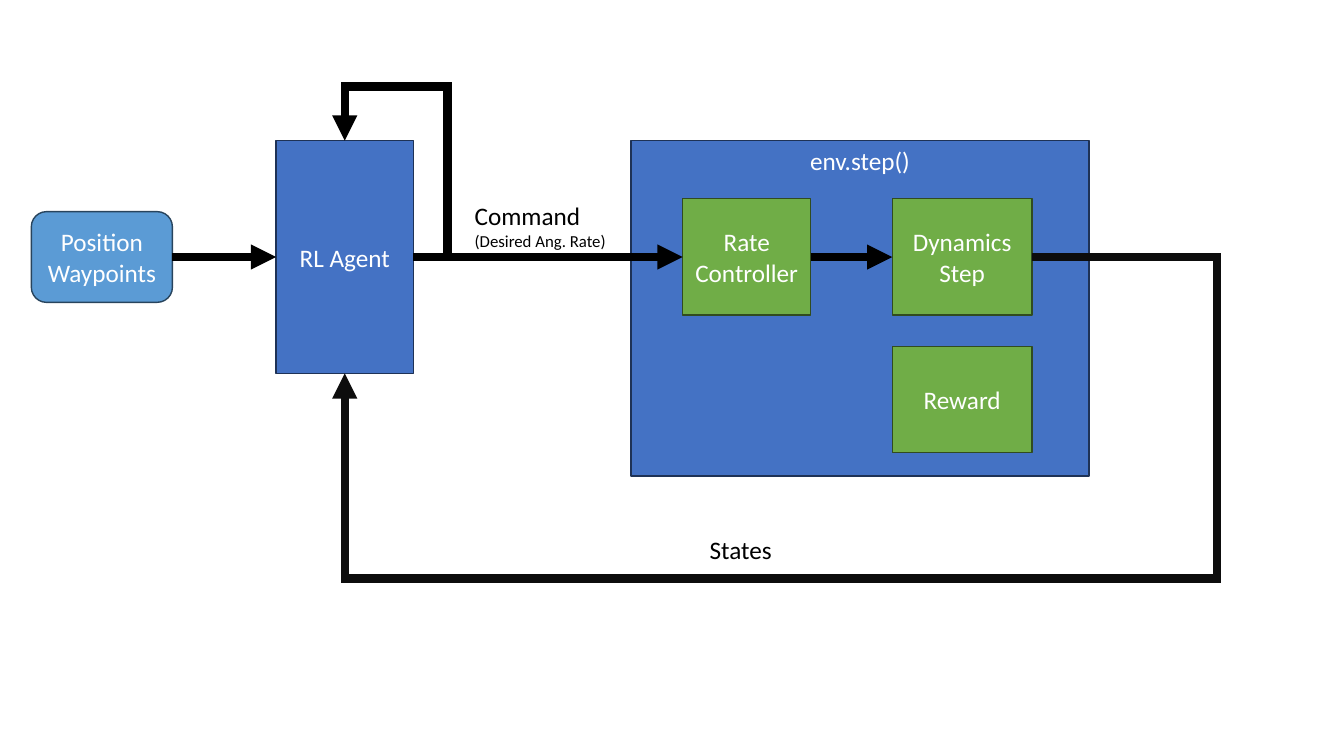
"""Draw a reinforcement-learning control loop as a block diagram."""
import dataclasses
import typing

import lxml.etree
import pptx
import pptx.dml.color
import pptx.enum.shapes
import pptx.enum.text
import pptx.oxml.ns
import pptx.util

SHAPE = pptx.enum.shapes.MSO_SHAPE
CONNECTOR = pptx.enum.shapes.MSO_CONNECTOR
ALIGN = pptx.enum.text.PP_ALIGN
ANCHOR = pptx.enum.text.MSO_ANCHOR
qn = pptx.oxml.ns.qn

WIDTH = pptx.util.Inches(13.33)
HEIGHT = pptx.util.Inches(7.5)
BLUE, DARK_BLUE = "4472C4", "1E3256"
GREEN, DARK_GREEN = "70AD47", "314C1F"
SKY, DARK_SKY = "5B9BD5", "28445D"
WHITE, BLACK, CHARCOAL = "FFFFFF", "000000", "0D0D0D"
FLOW = 34.0


@dataclasses.dataclass
class Block:
    lines: list[str]
    left: float
    top: float
    width: float
    height: float
    fill: str
    edge: str
    shape: typing.Any = SHAPE.RECTANGLE
    anchor: typing.Any = ANCHOR.MIDDLE

    @property
    def right(self) -> float:
        return self.left + self.width

    @property
    def bottom(self) -> float:
        return self.top + self.height

    @property
    def center(self) -> float:
        return self.left + self.width / 2


@dataclasses.dataclass
class Label:
    lines: list[str]
    sizes: list[float]
    left: float
    top: float
    width: float
    height: float
    wrap: bool


@dataclasses.dataclass
class Arrow:
    start: tuple[float, float]
    finish: tuple[float, float]
    preset: str = "line"
    rotation: int = 0
    bends: tuple[float, ...] = ()
    color: str = BLACK


def across(share: float) -> int:
    return round(WIDTH * share / 100)


def down(share: float) -> int:
    return round(HEIGHT * share / 100)


def paint(color: typing.Any, value: str) -> None:
    color.rgb = pptx.dml.color.RGBColor.from_string(value)


def write(frame, lines: list[str], *, sizes=(18, 18), color=WHITE, align=ALIGN.CENTER,
          anchor=ANCHOR.MIDDLE, wrap=True) -> None:
    frame.word_wrap = wrap
    frame.vertical_anchor = anchor
    for index, (line, size) in enumerate(zip(lines, sizes)):
        para = frame.add_paragraph() if index else frame.paragraphs[0]
        para.alignment = align
        span = para.add_run()
        span.text = line
        span.font.size = pptx.util.Pt(size)
        span.font.name = "Calibri"
        paint(span.font.color, color)


def draw_block(page, block: Block) -> None:
    box = page.shapes.add_shape(block.shape, across(block.left), down(block.top),
                                across(block.width), down(block.height))
    box.shadow.inherit = False
    box.fill.solid()
    paint(box.fill.fore_color, block.fill)
    paint(box.line.color, block.edge)
    box.line.width = pptx.util.Pt(1)
    write(box.text_frame, block.lines, anchor=block.anchor)


def draw_label(page, label: Label) -> None:
    box = page.shapes.add_textbox(across(label.left), down(label.top),
                                  across(label.width), down(label.height))
    write(box.text_frame, label.lines, sizes=label.sizes, color=BLACK,
          align=ALIGN.LEFT, anchor=ANCHOR.TOP, wrap=label.wrap)


def draw_arrow(page, arrow: Arrow) -> None:
    (x1, x2), (y1, y2) = [(unit(arrow.start[axis]), unit(arrow.finish[axis]))
                          for axis, unit in enumerate((across, down))]
    width, height = abs(x2 - x1), abs(y2 - y1)
    if arrow.rotation in (90, 270):
        width, height = height, width
    left, top = (x1 + x2 - width) // 2, (y1 + y2 - height) // 2
    line = page.shapes.add_connector(CONNECTOR.STRAIGHT, left, top, left + width, top + height)
    paint(line.line.color, arrow.color)
    line.line.width = pptx.util.Pt(6)
    outline = line.get_or_add_ln()
    lxml.etree.SubElement(outline, qn("a:miter"), lim="800000")
    lxml.etree.SubElement(outline, qn("a:tailEnd"), type="triangle")
    properties = line.element.spPr
    lxml.etree.SubElement(properties, qn("a:effectLst"))
    geometry = properties.find(qn("a:prstGeom"))
    geometry.set("prst", arrow.preset)
    if arrow.rotation:
        frame = properties.find(qn("a:xfrm"))
        frame.set("rot", str(arrow.rotation * 60000))
        frame.set("flipV", "1")
    guides = geometry.find(qn("a:avLst"))
    for number, bend in enumerate(arrow.bends, 1):
        lxml.etree.SubElement(guides, qn("a:gd"), name=f"adj{number}",
                              fmla=f"val {round(bend * 100000)}")


environment = Block(["env.step()"], 46.96, 18.6, 34.06, 44.4, BLUE, DARK_BLUE, anchor=ANCHOR.TOP)
controller = Block(["Rate Controller"], 50.79, FLOW - 7.7, 9.53, 15.4, GREEN, DARK_GREEN)
dynamics = Block(["Dynamics", "Step"], 66.39, FLOW - 7.7, 10.4, 15.4, GREEN, DARK_GREEN)
reward = Block(["Reward"], 66.39, 45.87, 10.4, 14, GREEN, DARK_GREEN)
agent = Block(["RL Agent"], 20.55, FLOW - 15.4, 10.2, 30.8, BLUE, DARK_BLUE)
waypoints = Block(["Position Waypoints"], 2.33, FLOW - 6, 10.5, 12, SKY, DARK_SKY,
                  SHAPE.ROUNDED_RECTANGLE)

STATES_LANE, STATES_ROW = 90.55, 76.53
LOOP_LANE, LOOP_ROW = 33.3, 11.47
states_bends = ((dynamics.right - STATES_LANE) / (dynamics.right - agent.center),
                (STATES_ROW - FLOW) / (agent.bottom - FLOW))
loop_bends = ((FLOW - LOOP_ROW) / (FLOW - agent.top),)

arrows = [Arrow((before.right, FLOW), (after.left, FLOW))
          for before, after in [(waypoints, agent), (agent, controller), (controller, dynamics)]]
arrows += [
    Arrow((dynamics.right, FLOW), (agent.center, agent.bottom), "bentConnector4", 180,
          states_bends, CHARCOAL),
    Arrow((LOOP_LANE, FLOW), (agent.center, agent.top), "bentConnector3", 270, loop_bends),
]
labels = [
    Label(["States"], [18], 52.06, 70, 13.2, 5.33, True),
    Label(["Command", "(Desired Ang. Rate)"], [18, 12], 34.58, 25.87, 11.4, 8.13, False),
]

deck = pptx.Presentation()
deck.slide_width, deck.slide_height = WIDTH, HEIGHT
page = deck.slides.add_slide(deck.slide_layouts[6])
for block in (environment, controller, dynamics, reward, agent, waypoints):
    draw_block(page, block)
for label in labels:
    draw_label(page, label)
for arrow in arrows:
    draw_arrow(page, arrow)
deck.save("out.pptx")
